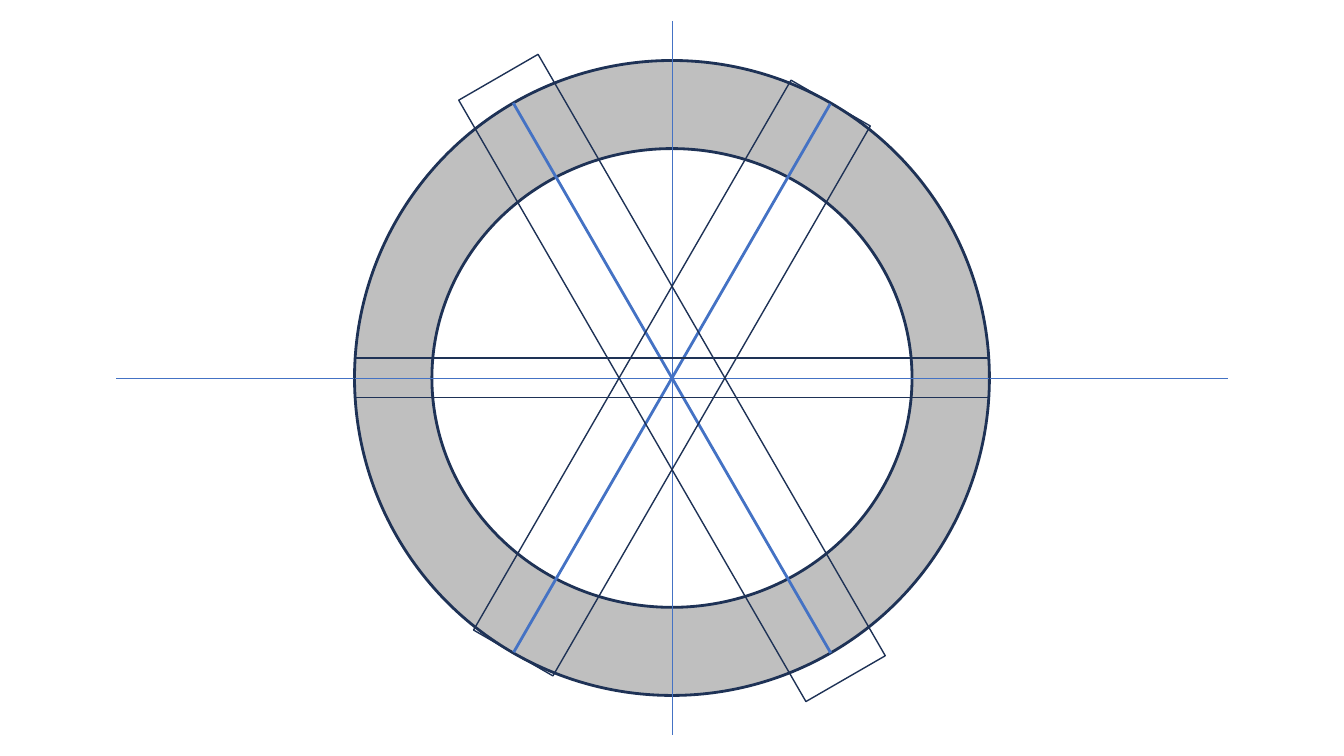
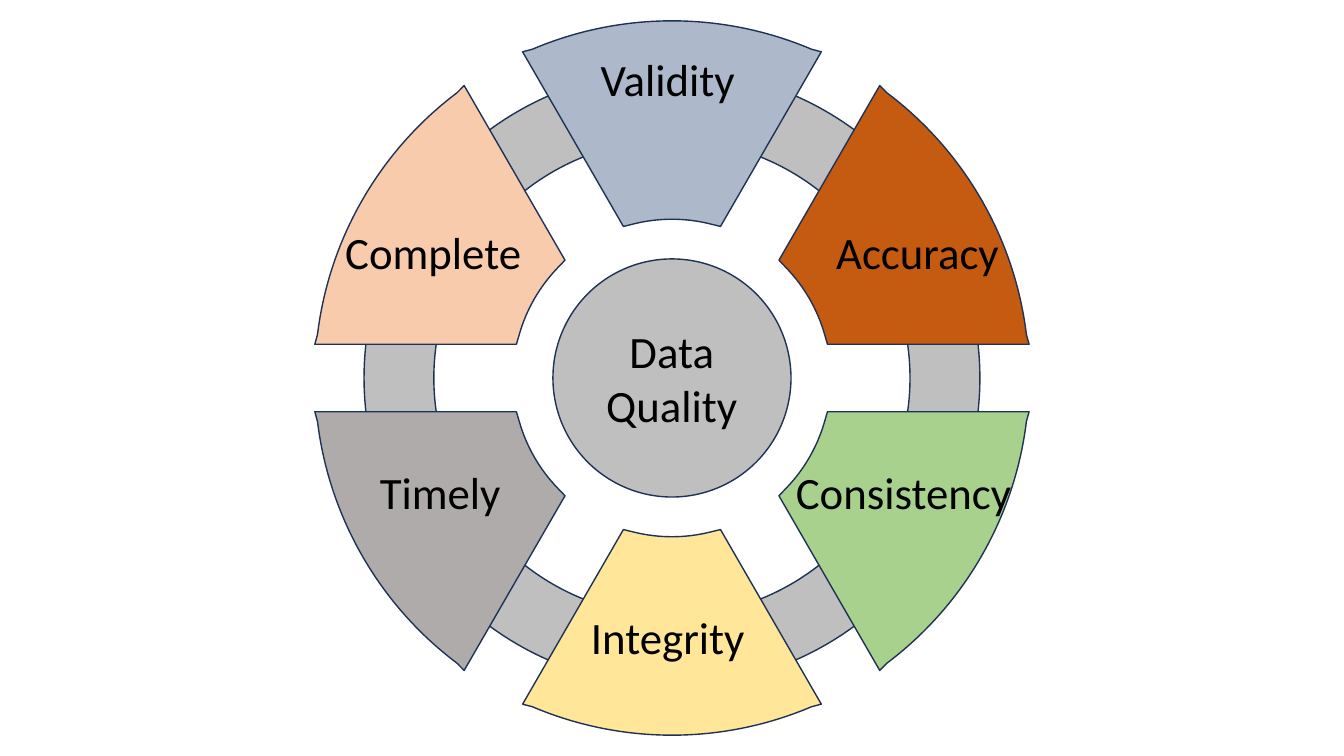
from math import asin, cos, degrees, radians, sin, tan

from pptx import Presentation
from pptx.dml.color import RGBColor
from pptx.enum import shapes, text
from pptx.oxml.ns import qn
from pptx.util import Cm, Pt

NAVY, BLUE, GREY, WHITE = "1E3256", "4472C4", "BFBFBF", "FFFFFF"
W, H = 33.87, 19.05
CX, CY = W / 2, H / 2
SHAPE = shapes.MSO_SHAPE


def paint(sp, line, width, fill=None):
    sp.line.color.rgb = RGBColor.from_string(line)
    sp.line.width = Pt(width)
    if not hasattr(sp, "fill"):
        pr = sp._element.spPr
        pr.append(pr.makeelement(qn("a:effectLst"), {}))
        return
    sp.shadow.inherit = False
    if fill:
        sp.fill.solid()
        sp.fill.fore_color.rgb = RGBColor.from_string(fill)
    else:
        sp.fill.background()


def add_text(s, lines, x, y, w, h, size=32, font="Calibri", color="000000"):
    tf = s.shapes.add_textbox(Cm(x), Cm(y), Cm(w), Cm(h)).text_frame
    tf.word_wrap = False
    tf.auto_size = text.MSO_AUTO_SIZE.SHAPE_TO_FIT_TEXT
    for i, line in enumerate(lines):
        p = tf.add_paragraph() if i else tf.paragraphs[0]
        p.alignment = text.PP_ALIGN.CENTER
        r = p.add_run()
        r.text = line
        r.font.size = Pt(size)
        r.font.name = font
        r.font.color.rgb = RGBColor.from_string(color)


prs = Presentation()
prs.slide_width, prs.slide_height = Cm(W), Cm(H)
blank = prs.slide_layouts[6]

s = prs.slides.add_slide(blank)
for w, h, fill in [(16, 16, GREY), (12.1, 11.56, WHITE)]:
    sp = s.shapes.add_shape(SHAPE.OVAL, Cm(CX - w / 2), Cm(CY - h / 2), Cm(w), Cm(h))
    paint(sp, NAVY, 2, fill)

for angle, radius, width in [(90, 9, 0.5), (0, 14, 0.5), (60, 8, 2), (-60, 8, 2)]:
    dx, dy = radius * cos(radians(angle)), radius * sin(radians(angle))
    axis = s.shapes.add_connector(shapes.MSO_CONNECTOR.STRAIGHT,
                                  Cm(CX - dx), Cm(CY - dy), Cm(CX + dx), Cm(CY + dy))
    paint(axis, BLUE, width)

for w, h, angle in [(17.5, 2.31, 60), (16, 2.31, 300), (16, 1, 0)]:
    sp = s.shapes.add_shape(SHAPE.RECTANGLE, Cm(CX - w / 2), Cm(CY - h / 2), Cm(w), Cm(h))
    sp.rotation = angle
    paint(sp, NAVY, 1)

s = prs.slides.add_slide(blank)
RING, RING_HOLE, HUB, HALF_GAP = 7.76, 6, 3, 0.85
WEDGE_SIDES = [(9.04, 9, 23), (4.01, 4, -14)]
CURVE_STARTS = [1, 4, 10, 13]

ring = s.shapes.add_shape(SHAPE.DONUT, Cm(CX - RING), Cm(CY - RING), Cm(2 * RING), Cm(2 * RING))
ring.adjustments[0] = (RING - RING_HOLE) / (2 * RING)
paint(ring, NAVY, 1, GREY)

wedge_fills = ["ADB9CA", "C55A11", "A9D18E", "FFE699", "AFABAB", "F8CBAD"]
for i, fill in enumerate(wedge_fills):
    middle = radians(60 * i - 90)
    turn = complex(cos(middle), sin(middle))
    outline = []
    for corner_radius, radius, half in WEDGE_SIDES:
        spread = radians(30 - degrees(asin(HALF_GAP / corner_radius)))
        corner = corner_radius * complex(cos(spread), sin(spread) * (1 if half > 0 else -1))
        end = radius * complex(cos(radians(half)), sin(radians(half)))
        start = end.conjugate()
        pull = 4 / 3 * tan(radians(half) / 4) * 1j
        outline += [corner.conjugate(), start,
                    start * (1 + pull), radius * (1 - pull), radius,
                    radius * (1 + pull), end * (1 - pull), end, corner]
    points = [(Cm(CX + (z * turn).real), Cm(CY + (z * turn).imag)) for z in outline]
    fb = s.shapes.build_freeform(*points[0])
    fb.add_line_segments(points[1:], close=True)
    wedge = fb.convert_to_shape()
    segments = list(wedge._element.iter(qn("a:lnTo")))
    for n in CURVE_STARTS:
        curve = segments[n].makeelement(qn("a:cubicBezTo"), {})
        segments[n].addprevious(curve)
        for seg in segments[n:n + 3]:
            curve.append(seg[0])
            seg.getparent().remove(seg)
    paint(wedge, NAVY, 1, fill)

hub = s.shapes.add_shape(SHAPE.OVAL, Cm(CX - HUB), Cm(CY - HUB), Cm(2 * HUB), Cm(2 * HUB))
paint(hub, NAVY, 1, GREY)

add_text(s, ["Data", "Quality"], 14.86, 8.03, 4.14, 3)
for label, x, y, w in [
    ("Validity", 14.76, 1.17, 4.14),
    ("Accuracy", 20.75, 5.54, 4.75),
    ("Complete", 8.23, 5.54, 5.38),
    ("Consistency", 19.79, 11.58, 5.97),
    ("Integrity", 14.53, 15.24, 4.6),
    ("Timely", 9.14, 11.58, 3.91),
]:
    add_text(s, [label], x, y, w, 1.63)

prs.save("out.pptx")
